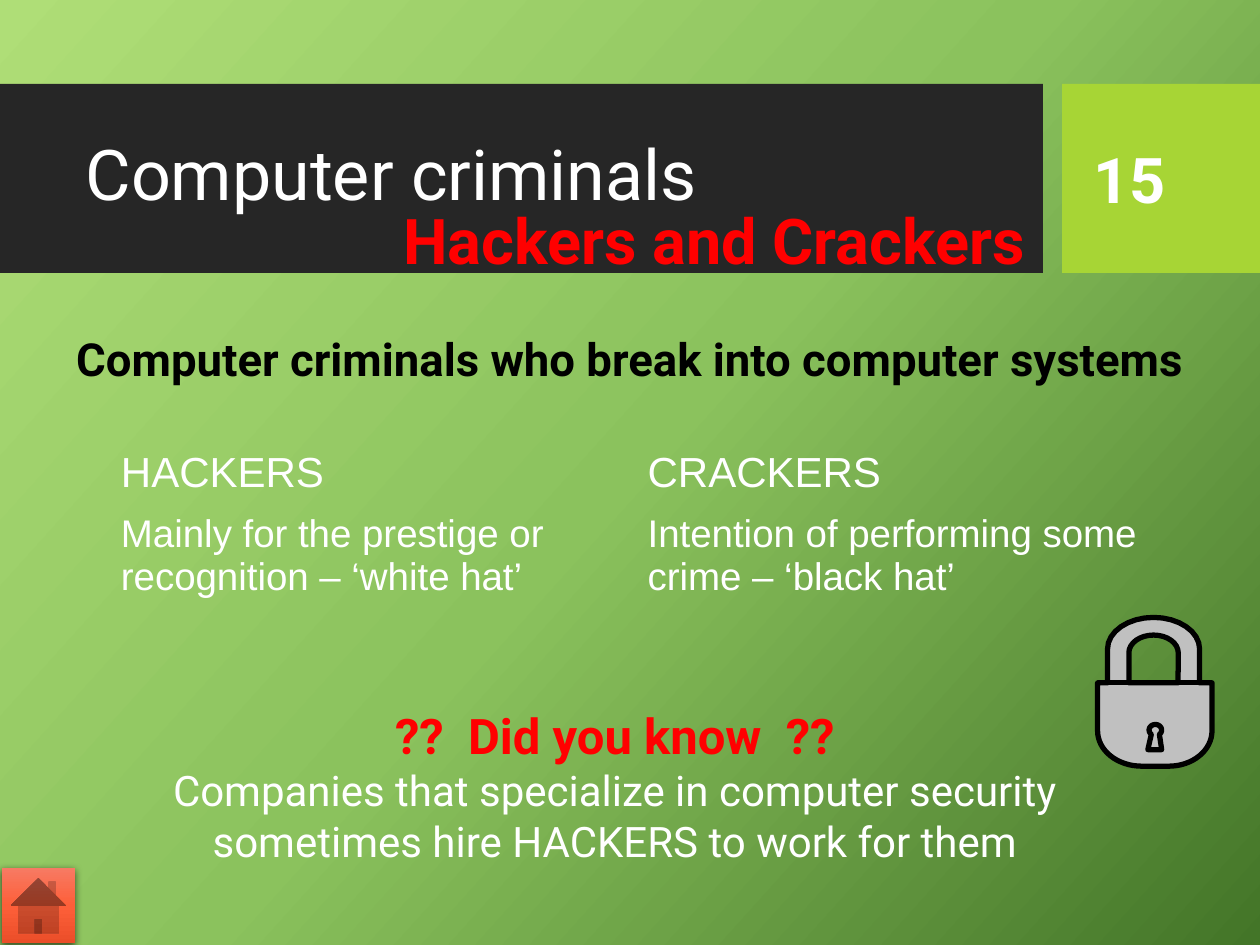
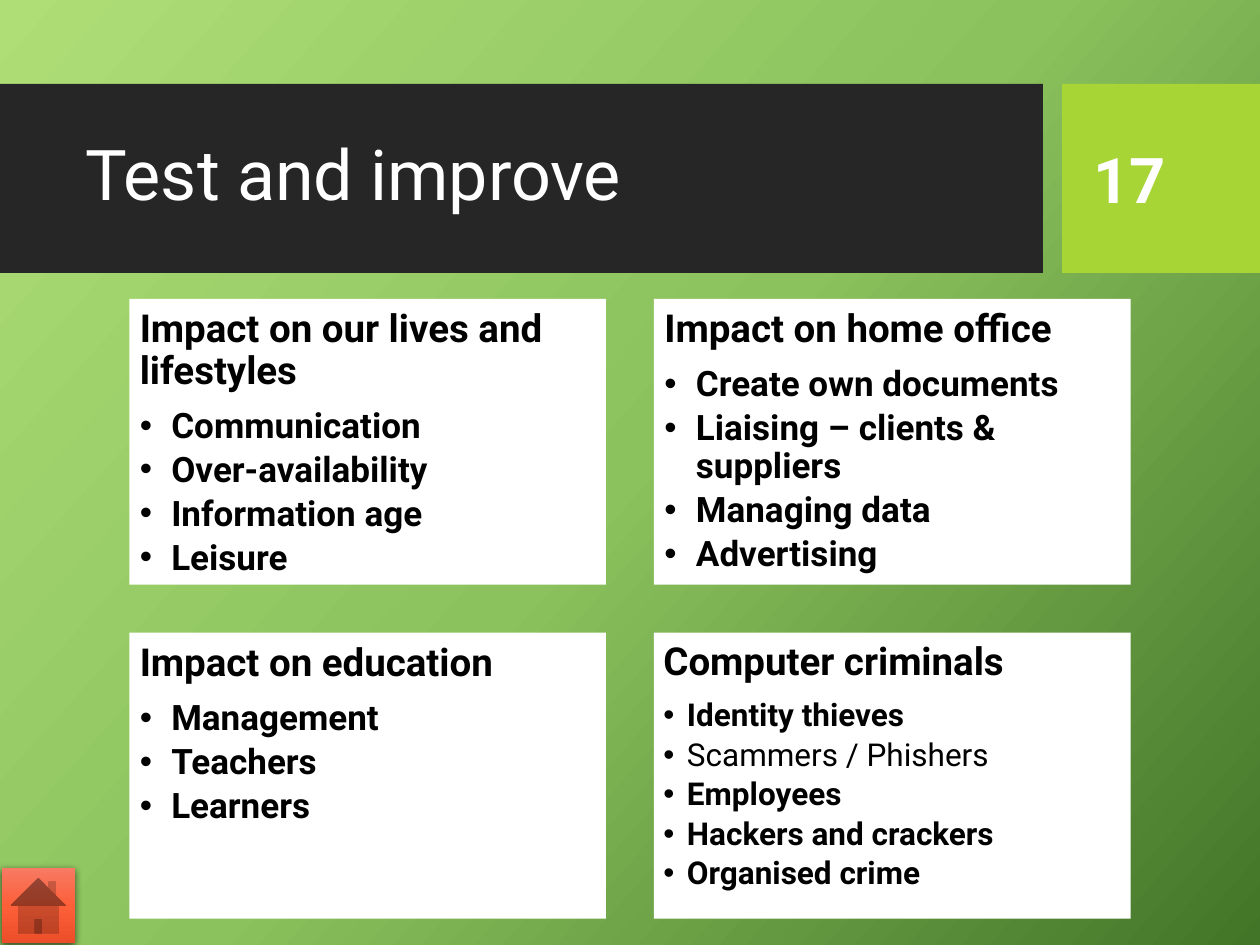
from copy import deepcopy
from math import cos, radians, sin

from lxml.etree import SubElement
from pptx import Presentation
from pptx.dml.color import RGBColor
from pptx.enum.shapes import MSO_CONNECTOR, MSO_SHAPE
from pptx.enum.text import MSO_ANCHOR as Anchor, PP_ALIGN as Align
from pptx.oxml.ns import qn
from pptx.util import Pt

# Shared style
WHITE, BLACK, RED = "FFFFFF", "000000", "FF0000"
BAND, NUMBER_BLOCK, LOCK_GREY = "262626", "A7D535", "C0C0C0"
BACKGROUND = ("AFDE77", "8BC25D", "437528")
HOME_BUTTON = ("F77A63", "FD5F39", "EB4E29")
PLAIN_TABLE = "{2D5ABB26-0587-4C30-8999-92F81FD0307C}"


def color(value):
    return RGBColor.from_string(value)


def write(paragraph, text, size=24, font="Roboto", fill=WHITE, bold=False,
          align=Align.LEFT, spacing=None, after=0, bullet_indent=0):
    """Put formatted text into a paragraph."""
    if bullet_indent:
        properties = paragraph._p.get_or_add_pPr()
        properties.set("marL", str(Pt(bullet_indent)))
        properties.set("indent", str(-Pt(bullet_indent)))
        SubElement(properties, qn("a:buFont"), typeface="Arial")
        SubElement(properties, qn("a:buChar"), char="•")
    paragraph.alignment = align
    paragraph.space_after = Pt(after)
    if spacing:
        paragraph.line_spacing = spacing
    run = paragraph.add_run()
    run.text = text
    run.font.size = Pt(size)
    run.font.name = font
    run.font.bold = bold
    run.font.color.rgb = color(fill)


def arc(center_x, center_y, radius_x, radius_y, start, end, steps=16):
    """Points on an ellipse, with angles in degrees clockwise from the right."""
    angles = [radians(start + (end - start) * i / steps) for i in range(steps + 1)]
    return [(center_x + radius_x * cos(a), center_y + radius_y * sin(a)) for a in angles]


class Deck:
    def __init__(self):
        self.presentation = Presentation()
        self.presentation.slide_width = Pt(720)
        self.presentation.slide_height = Pt(540)
        self.slide = None

    def new_slide(self, title, number):
        """Start a slide with its background, band, title, number and home button."""
        self.slide = self.presentation.slides.add_slide(self.presentation.slide_layouts[6])
        self.gradient(self.slide.background.fill, self.slide._element, BACKGROUND, 42)
        self.box(0, 48, 596, 108, BAND)
        self.box(607, 48, 113, 108, NUMBER_BLOCK)
        self.text(41.8, 59, 543, 85, [(title, dict(size=40, spacing=0.9))], Anchor.MIDDLE)
        self.text(617.8, 59, 91.4, 85.7, [(number, dict(size=36, bold=True))], Anchor.MIDDLE)
        self.home_button()

    def gradient(self, fill, element, colors, angle):
        fill.gradient()
        fill.gradient_angle = 360 - angle
        stop_list = next(element.iter(qn("a:gsLst")))
        stop_list.append(deepcopy(stop_list[0]))
        for stop, value, position in zip(fill.gradient_stops, colors, (0, 0.5, 1)):
            stop.color.rgb = color(value)
            stop.position = position

    def box(self, left, top, width, height, fill, kind=MSO_SHAPE.RECTANGLE):
        shape = self.slide.shapes.add_shape(kind, Pt(left), Pt(top), Pt(width), Pt(height))
        shape.shadow.inherit = False
        shape.fill.solid()
        shape.fill.fore_color.rgb = color(fill)
        shape.line.fill.background()
        return shape

    def fill_text(self, shape, paragraphs, anchor=Anchor.TOP, inset=None):
        frame = shape.text_frame
        frame.word_wrap = True
        frame.vertical_anchor = anchor
        if inset:
            frame.margin_left = frame.margin_right = Pt(inset)
            frame.margin_top = frame.margin_bottom = Pt(inset)
        for index, (text, style) in enumerate(paragraphs):
            paragraph = frame.add_paragraph() if index else frame.paragraphs[0]
            write(paragraph, text, **style)

    def text(self, left, top, width, height, paragraphs, anchor=Anchor.TOP):
        shape = self.slide.shapes.add_textbox(Pt(left), Pt(top), Pt(width), Pt(height))
        self.fill_text(shape, paragraphs, anchor)

    def home_button(self):
        button = self.box(0.9, 496, 42, 43, HOME_BUTTON[1], MSO_SHAPE.ACTION_BUTTON_HOME)
        self.gradient(button.fill, button._element, HOME_BUTTON, 90)
        effects = next(button._element.iter(qn("a:effectLst")))
        shadow = SubElement(effects, qn("a:outerShdw"), blurRad=str(Pt(4.5)),
                            dist=str(Pt(1.5)), dir="5400000", rotWithShape="0")
        shade = SubElement(shadow, qn("a:srgbClr"), val=BLACK)
        SubElement(shade, qn("a:alpha"), val="63000")

    def outline(self, contours):
        """Draw a filled freeform; inner contours become holes."""
        contours = [[(Pt(x), Pt(y)) for x, y in contour] for contour in contours]
        builder = self.slide.shapes.build_freeform(*contours[0][0])
        builder.add_line_segments(contours[0][1:])
        for contour in contours[1:]:
            builder.move_to(*contour[0])
            builder.add_line_segments(contour[1:])
        shape = builder.convert_to_shape()
        shape.shadow.inherit = False
        shape.fill.solid()
        shape.fill.fore_color.rgb = color(LOCK_GREY)
        shape.line.color.rgb = color(BLACK)
        shape.line.width = Pt(3)

    def padlock(self):
        left, right, bar = 627.2, 692.6, 390.2
        outer_arch = arc(659.2, 370.8, 26.3, 18, 180, 360)
        bottom = arc(668, 417.6, 24.6, 20.2, 0, 90) + arc(652.3, 417.6, 25.1, 20.2, 90, 180)
        body = ([(left, bar), (632.9, bar)] + outer_arch + [(685.4, bar), (right, bar)]
                + bottom + [(left, bar)])
        hole = ([(645.1, bar)] + arc(659.2, 373, 14.1, 10.1, 180, 360)
                + [(673.2, bar), (645.1, bar)])
        self.outline([body, hole])
        line = self.slide.shapes.add_connector(
            MSO_CONNECTOR.STRAIGHT, Pt(left), Pt(bar), Pt(right), Pt(bar))
        line.line.color.rgb = color(BLACK)
        line.line.width = Pt(3)
        SubElement(line._element.spPr, qn("a:effectLst"))
        keyhole = arc(660.2, 417.2, 3.6, 3.2, 130, 410)
        self.outline([keyhole + [(663.8, 428.4), (655.9, 428.4), keyhole[0]]])

    def table(self, left, top, column_width, row_heights, rows, sizes):
        width, height = column_width * len(rows[0]), sum(row_heights)
        table = self.slide.shapes.add_table(
            len(rows), len(rows[0]), Pt(left), Pt(top), Pt(width), Pt(height)).table
        table.first_row = table.horz_banding = False
        table._tbl.tblPr.find(qn("a:tableStyleId")).text = PLAIN_TABLE
        for row, row_height, texts, size in zip(table.rows, row_heights, rows, sizes):
            row.height = Pt(row_height)
            for cell, text in zip(row.cells, texts):
                cell.fill.background()
                write(cell.text_frame.paragraphs[0], text, size=size, font="Arial")

    def card(self, left, top, heading, items, size=20, indent=18, inset=6, light=()):
        """White card with a bold heading and bullets; items in light are not bold."""
        paragraphs = [(heading, dict(size=22, fill=BLACK, bold=True, spacing=0.9, after=9))]
        for item in items:
            paragraphs.append((item, dict(size=size, fill=BLACK, bold=item not in light,
                                          spacing=0.9, after=size * 0.175,
                                          bullet_indent=indent)))
        self.fill_text(self.box(left, top, 272.4, 163.4, WHITE), paragraphs, inset=inset)


def criminals_slide(deck):
    deck.new_slide("Computer criminals", "15")
    centered = dict(align=Align.CENTER)
    deck.text(203.4, 111.6, 409.7, 51, [
        ("Hackers and Crackers", dict(size=36, fill=RED, bold=True, **centered))])
    deck.text(20, 185.8, 680.4, 39, [
        ("Computer criminals who break into computer systems",
         dict(size=26, fill=BLACK, bold=True, **centered))])

    # Comparison
    deck.table(61.9, 253.4, 301, (34.8, 57.8), [
        ("HACKERS", "CRACKERS"),
        ("Mainly for the prestige or recognition – ‘white hat’",
         "Intention of performing some crime – ‘black hat’"),
    ], sizes=(24, 22))

    # Fact and padlock
    deck.text(82, 383, 538.6, 116.6, [
        ("??  Did you know  ??",
         dict(size=28, fill=RED, bold=True, spacing=1.5, **centered)),
        ("Companies that specialize in computer security sometimes hire HACKERS "
         "to work for them", centered)])
    deck.padlock()


def review_slide(deck):
    deck.new_slide("Test and improve", "17")
    compact = dict(size=18, indent=13.5, inset=5.4, light=("Scammers / Phishers",))
    cards = [
        ("Impact on our lives and lifestyles",
         ["Communication", "Over-availability", "Information age", "Leisure"], {}),
        ("Impact on home office",
         ["Create own documents", "Liaising – clients & suppliers",
          "Managing data", "Advertising"], {}),
        ("Impact on education", ["Management", "Teachers", "Learners"], {}),
        ("Computer criminals",
         ["Identity thieves", "Scammers / Phishers", "Employees",
          "Hackers and crackers", "Organised crime"], compact),
    ]
    for index, (heading, items, style) in enumerate(cards):
        row, column = divmod(index, 2)
        deck.card(73.9 + 299.8 * column, 170.8 + 190.8 * row, heading, items, **style)


def main():
    deck = Deck()
    criminals_slide(deck)
    review_slide(deck)
    deck.presentation.save("out.pptx")


if __name__ == "__main__":
    main()
